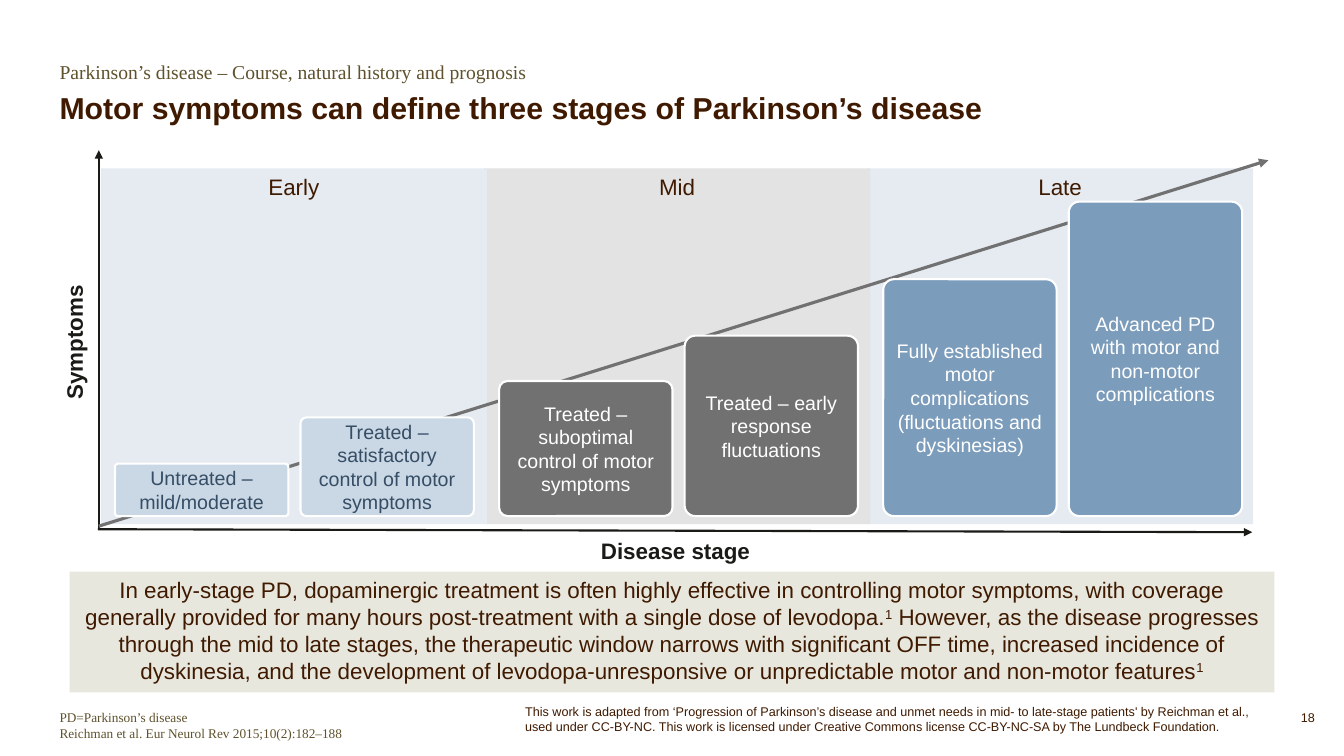
from lxml.etree import SubElement
from pptx import Presentation
from pptx.dml.color import RGBColor
from pptx.enum.shapes import MSO_CONNECTOR, MSO_SHAPE
from pptx.enum.text import MSO_ANCHOR, PP_ALIGN
from pptx.oxml.ns import qn
from pptx.util import Inches, Pt

COLORS = {
    "brown": "3F1A01",
    "olive": "5E512C",
    "black": "1A1A17",
    "white": "FFFFFF",
    "navy": "354E66",
    "sand": "E8E7DE",
    "pale_blue": "E5EBF1",
    "pale_gray": "E3E3E3",
    "light_blue": "CAD7E4",
    "gray": "717171",
    "blue": "7B9CBB",
}
# Each stage: name, band fill, bar fill, bar text colour, bars as (top, text)
STAGES = [
    ("Early", "pale_blue", "light_blue", "navy", [
        (4.6, "Untreated – mild/moderate"),
        (4.14, "Treated – satisfactory control of motor symptoms")]),
    ("Mid", "pale_gray", "gray", "white", [
        (3.78, "Treated – suboptimal control of motor symptoms"),
        (3.33, "Treated – early response fluctuations")]),
    ("Late", "pale_blue", "blue", "white", [
        (2.77, "Fully established motor complications (fluctuations and dyskinesias)"),
        (2, "Advanced PD with motor and non-motor complications")]),
]
BAR_BOTTOM = 5.12
SUMMARY = [
    ("In early-stage PD, dopaminergic treatment is often highly effective in controlling "
     "motor symptoms, with coverage generally provided for many hours post-treatment with "
     "a single dose of levodopa.", False),
    ("1", True),
    (" However, as the disease progresses through the mid to late stages, the therapeutic "
     "window narrows with significant OFF time, increased incidence of dyskinesia, and the "
     "development of levodopa-unresponsive or unpredictable motor and non-motor features", False),
    ("1", True),
]
LICENSE = (
    "This work is adapted from ‘Progression of Parkinson’s disease and unmet needs in mid- to "
    "late-stage patients' by Reichman et al., used under CC-BY-NC. This work is licensed under "
    "Creative Commons license CC-BY-NC-SA by The Lundbeck Foundation.")


def color(name):
    return RGBColor.from_string(COLORS[name])


def write(shape, paragraphs, size=16, ink="brown", font="Arial", bold=False,
          align=PP_ALIGN.CENTER, anchor=MSO_ANCHOR.TOP, inset=True, spacing=1.0):
    """Fill a shape with paragraphs, each a string or a list of (text, superscript)."""
    frame = shape.text_frame
    frame.word_wrap = True
    frame.vertical_anchor = anchor
    if not inset:
        frame.margin_left = frame.margin_right = 0
        frame.margin_top = frame.margin_bottom = 0
    for index, content in enumerate(paragraphs):
        para = frame.paragraphs[0] if index == 0 else frame.add_paragraph()
        para.alignment = align
        para.line_spacing = spacing
        para.space_before = para.space_after = Pt(0)
        spans = [(content, False)] if isinstance(content, str) else content
        for text, superscript in spans:
            span = para.add_run()
            span.text = text
            span.font.name = font
            span.font.size = Pt(size)
            span.font.bold = bold
            span.font.color.rgb = color(ink)
            if superscript:
                span._r.get_or_add_rPr().set("baseline", "30000")


def fill_placeholder(holder, bounds, paragraphs, **style):
    holder.left, holder.top, holder.width, holder.height = map(Inches, bounds)
    write(holder, paragraphs, align=PP_ALIGN.LEFT, inset=False, **style)
    for para in holder.text_frame.paragraphs:
        properties = para._p.get_or_add_pPr()
        properties.set("marL", "0")
        properties.set("indent", "0")
        SubElement(properties, qn("a:buNone"))


def add_label(slide, bounds, text, **style):
    box = slide.shapes.add_textbox(*map(Inches, bounds))
    write(box, [text], **style)
    return box


def add_panel(slide, bounds, fill, content, radius=None, outline=None, **style):
    """Add a filled rectangle with text; a radius makes its corners round."""
    kind = MSO_SHAPE.RECTANGLE if radius is None else MSO_SHAPE.ROUNDED_RECTANGLE
    panel = slide.shapes.add_shape(kind, *map(Inches, bounds))
    if radius is not None:
        panel.adjustments[0] = radius
    panel.shadow.inherit = False
    panel.fill.solid()
    panel.fill.fore_color.rgb = color(fill)
    if outline:
        panel.line.color.rgb = color(outline)
        panel.line.width = Pt(1.5)
    else:
        panel.line.fill.background()
    write(panel, [content], **style)


def add_arrow(slide, start, end, ink, width):
    arrow = slide.shapes.add_connector(MSO_CONNECTOR.STRAIGHT, *map(Inches, start + end))
    arrow.line.color.rgb = color(ink)
    arrow.line.width = Pt(width)
    SubElement(arrow.line._get_or_add_ln(), qn("a:tailEnd"), type="triangle")
    SubElement(arrow._element.spPr, qn("a:effectLst"))


def add_bands(slide):
    for index, (name, band_fill, *_) in reversed(list(enumerate(STAGES))):
        add_panel(slide, (1 + 3.8 * index, 1.67, 3.83, 3.53), band_fill, name)


def add_axes(slide):
    add_arrow(slide, (0.97, 5.25), (12.42, 5.28), "black", 1.5)
    add_arrow(slide, (0.98, 5.24), (0.98, 1.49), "black", 1.5)
    add_label(slide, (0.98, 5.28, 11.44, 0.37), "Disease stage", ink="black", bold=True)
    symptoms = add_label(slide, (-1.09, 3.21, 3.65, 0.37), "Symptoms", ink="black", bold=True)
    symptoms.rotation = 270
    add_arrow(slide, (0.98, 5.22), (12.58, 1.59), "gray", 2.25)


def add_bars(slide):
    for stage, (_, _, fill, ink, bars) in enumerate(STAGES):
        for position, (top, text) in enumerate(bars):
            left = 1.14 + 3.81 * stage + 1.84 * position
            add_panel(slide, (left, top, 1.72, BAR_BOTTOM - top), fill, text, radius=0.062,
                      outline="white", size=14, ink=ink, anchor=MSO_ANCHOR.MIDDLE)


def main():
    deck = Presentation()
    deck.slide_width, deck.slide_height = Inches(13.33), Inches(7.5)
    slide = deck.slides.add_slide(deck.slide_layouts.get_by_name("Two Content"))
    title, section, references = slide.placeholders

    fill_placeholder(section, (0.59, 0.59, 10.08, 0.29),
                     ["Parkinson’s disease – Course, natural history and prognosis"],
                     size=14, ink="olive", font="Times New Roman")
    fill_placeholder(title, (0.59, 0.89, 10.08, 0.36),
                     ["Motor symptoms can define three stages of Parkinson’s disease"],
                     size=21.6, bold=True, anchor=MSO_ANCHOR.BOTTOM, spacing=0.9)
    fill_placeholder(references, (0.59, 6.67, 10.08, 0.68),
                     ["PD=Parkinson’s disease",
                      "Reichman et al. Eur Neurol Rev 2015;10(2):182–188"],
                     size=9.5, ink="olive", font="Times New Roman", anchor=MSO_ANCHOR.BOTTOM)
    add_label(slide, (12.39, 7.04, 0.65, 0.17), "18", size=9,
              align=PP_ALIGN.RIGHT, inset=False)
    add_panel(slide, (0.69, 5.67, 11.95, 1.2), "sand", SUMMARY, radius=0)
    add_bands(slide)
    add_axes(slide)
    add_bars(slide)
    add_label(slide, (5.11, 6.93, 7.38, 0.4), LICENSE, size=9, align=PP_ALIGN.LEFT)
    deck.save("out.pptx")


if __name__ == "__main__":
    main()
